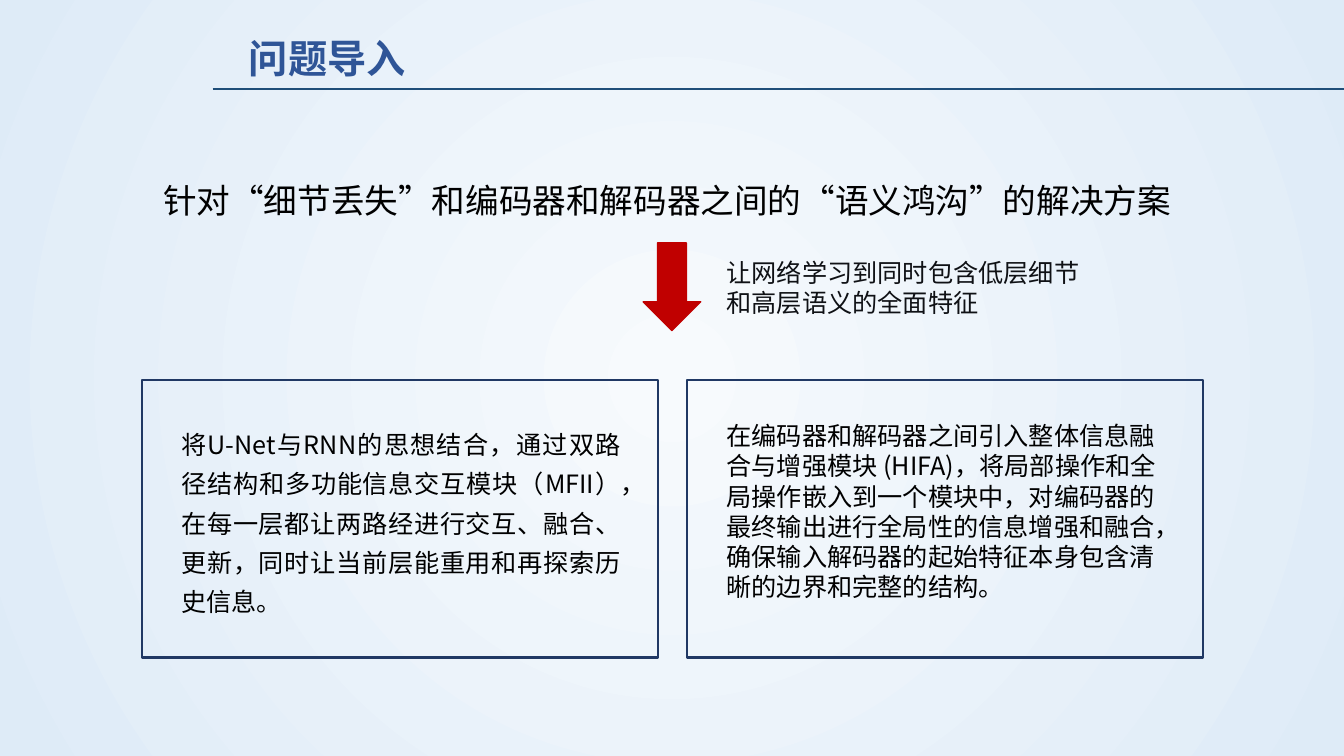
"""Build the problem introduction slide with its two proposed modules."""
from lxml.etree import SubElement
from pptx import Presentation
from pptx.dml.color import RGBColor
from pptx.enum.shapes import MSO_CONNECTOR as Connector, MSO_SHAPE as Shape
from pptx.enum.text import MSO_ANCHOR as Anchor, MSO_AUTO_SIZE as AutoSize, PP_ALIGN as Align
from pptx.oxml.ns import qn
from pptx.util import Cm, Pt

TITLE = "问题导入"
PROBLEM = "针对“细节丢失”和编码器和解码器之间的“语义鸿沟”的解决方案"
GOAL = "让网络学习到同时包含低层细节和高层语义的全面特征"
MODULES = [
    {"text": "将U-Net与RNN的思想结合，通过双路径结构和多功能信息交互模块（MFII），"
             "在每一层都让两路经进行交互、融合、更新，同时让当前层能重用和再探索历史信息。",
     "width": 11.58, "height": 5.16, "align": Align.JUSTIFY, "spacing": 1.3},
    {"text": "在编码器和解码器之间引入整体信息融合与增强模块 (HIFA)，将局部操作和全局操作"
             "嵌入到一个模块中，对编码器的最终输出进行全局性的信息增强和融合，"
             "确保输入解码器的起始特征本身包含清晰的边界和完整的结构。",
     "width": 11.81, "height": 5.79, "align": Align.LEFT, "spacing": 1.0},
]
FONT = "Noto Sans CJK SC"
COLORS = {"center": "F7FAFD", "edge": "DEEBF7", "rule": "1F4E79", "title": "2F5597",
          "text": "000000", "goal": "0F1115", "arrow": "C00000", "panel": "203864"}
SLIDE_W, SLIDE_H = 33.87, 19.05
PANEL_LEFT, PANEL_TOP, PANEL_W, PANEL_H = 3.58, 9.58, 13.0, 6.99
PANEL_STEP = 13.74
TEXT_INSET_X, TEXT_INSET_Y = 0.74, 0.89


def color(name):
    return RGBColor.from_string(COLORS[name])


def place(box):
    return [Cm(length) for length in box]


def write(frame, text, size, color_name, bold=False, align=Align.LEFT, spacing=None):
    paragraph = frame.paragraphs[0]
    paragraph.alignment = align
    if spacing:
        paragraph.line_spacing = spacing
    run = paragraph.add_run()
    run.text = text
    run.font.size, run.font.bold, run.font.name = Pt(size), bold, FONT
    run.font.color.rgb = color(color_name)
    SubElement(run._r.get_or_add_rPr(), qn("a:ea"), typeface=FONT)


def add_text(slide, box, text, size, color_name, wrap=True, **layout):
    frame = slide.shapes.add_textbox(*place(box)).text_frame
    frame.word_wrap = wrap
    frame.auto_size = AutoSize.SHAPE_TO_FIT_TEXT
    write(frame, text, size, color_name, **layout)


def add_outlined(slide, kind, box, line_name, width, fill_name=None):
    shape = slide.shapes.add_shape(kind, *place(box))
    shape.shadow.inherit = False
    if fill_name:
        shape.fill.solid()
        shape.fill.fore_color.rgb = color(fill_name)
    else:
        shape.fill.background()
    shape.line.color.rgb = color(line_name)
    shape.line.width = Pt(width)


def paint_background(slide):
    fill = slide.background.fill
    fill.gradient()
    for stop, name in zip(fill.gradient_stops, ("center", "edge")):
        stop.color.rgb = color(name)
    linear = slide.element.xpath(".//p:bgPr//a:lin")[0]
    gradient = linear.getparent()
    gradient.remove(linear)
    radial = SubElement(gradient, qn("a:path"), path="circle")
    SubElement(radial, qn("a:fillToRect"), l="50000", t="50000", r="50000", b="50000")


def add_heading(slide):
    rule = slide.shapes.add_connector(
        Connector.STRAIGHT, *place((5.36, 2.24, SLIDE_W, 2.24)))
    rule.line.color.rgb = color("rule")
    rule.line.width = Pt(1.25)
    SubElement(rule.element.spPr, qn("a:effectLst"))
    title = slide.shapes.title
    title.left, title.top, title.width, title.height = place((6.02, 0.74, 7.72, 1.45))
    title.text_frame.auto_size = AutoSize.NONE
    title.text_frame.vertical_anchor = Anchor.TOP
    write(title.text_frame, TITLE, 28, "title", bold=True)


def main():
    deck = Presentation()
    deck.slide_width, deck.slide_height = Cm(SLIDE_W), Cm(SLIDE_H)
    slide = deck.slides.add_slide(deck.slide_layouts[5])
    paint_background(slide)
    add_heading(slide)
    add_text(slide, (3.86, 4.42, 26.16, 1.27), PROBLEM, 24, "text", wrap=False)
    add_outlined(slide, Shape.DOWN_ARROW, (16.21, 6.12, 1.45, 2.21), "arrow", 1, "arrow")
    add_text(slide, (18.06, 6.35, 9.53, 1.85), GOAL, 18, "goal")
    for column, module in enumerate(MODULES):
        left = PANEL_LEFT + column * PANEL_STEP
        add_outlined(slide, Shape.RECTANGLE, (left, PANEL_TOP, PANEL_W, PANEL_H), "panel", 1.5)
        text_box = (left + TEXT_INSET_X, PANEL_TOP + TEXT_INSET_Y,
                    module["width"], module["height"])
        add_text(slide, text_box, module["text"], 18, "text",
                 align=module["align"], spacing=module["spacing"])
    deck.save("out.pptx")


if __name__ == "__main__":
    main()
